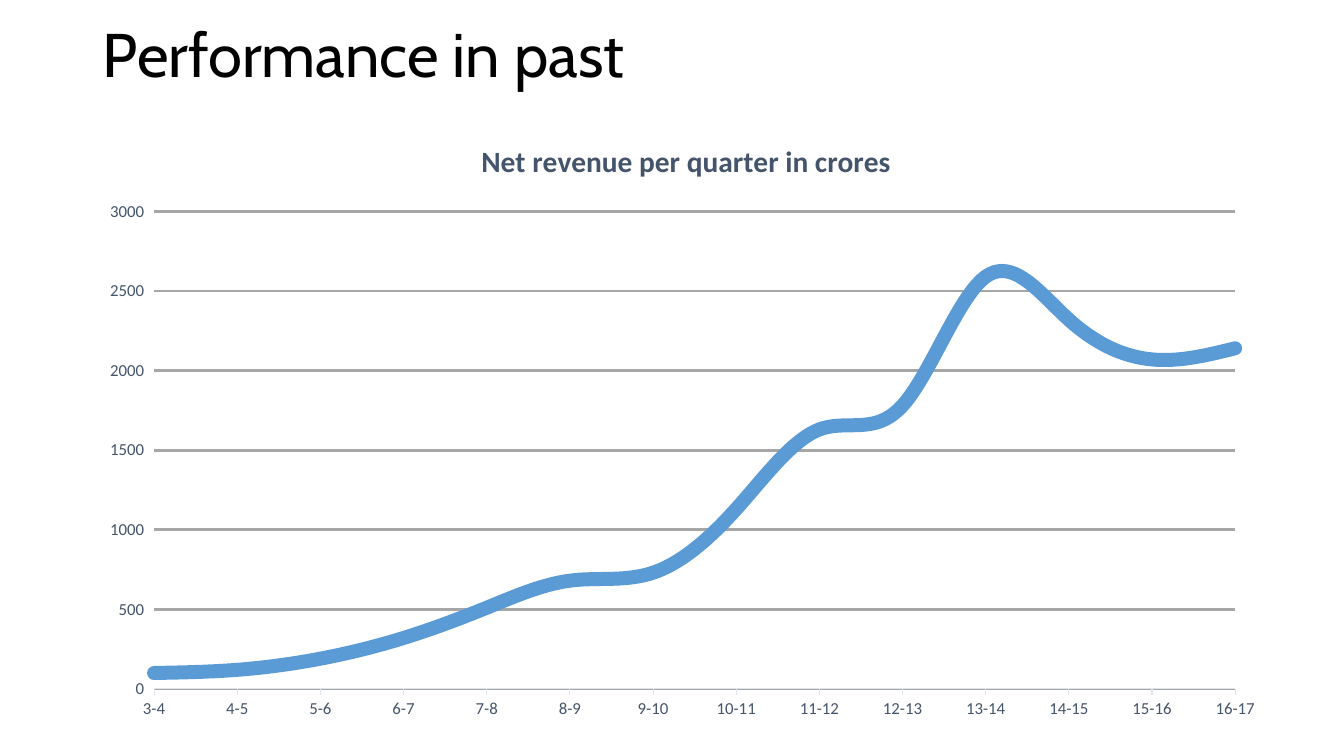
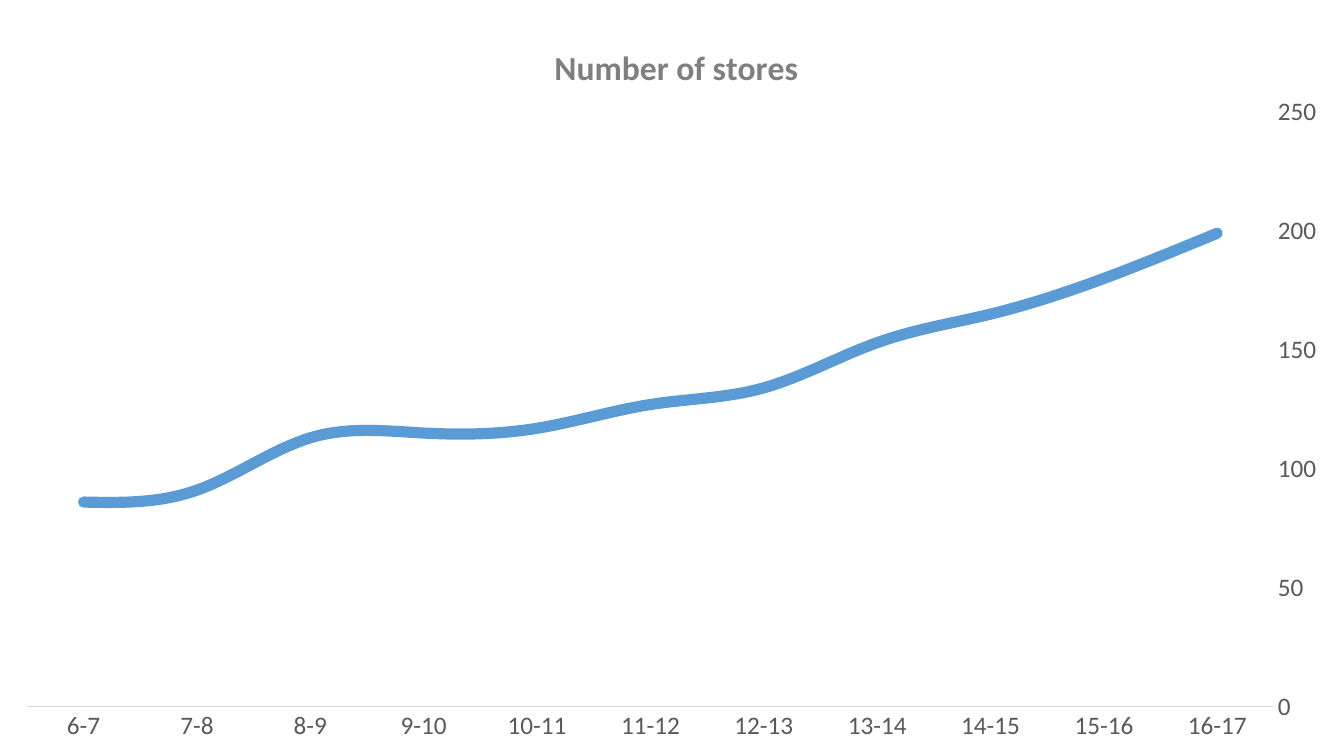
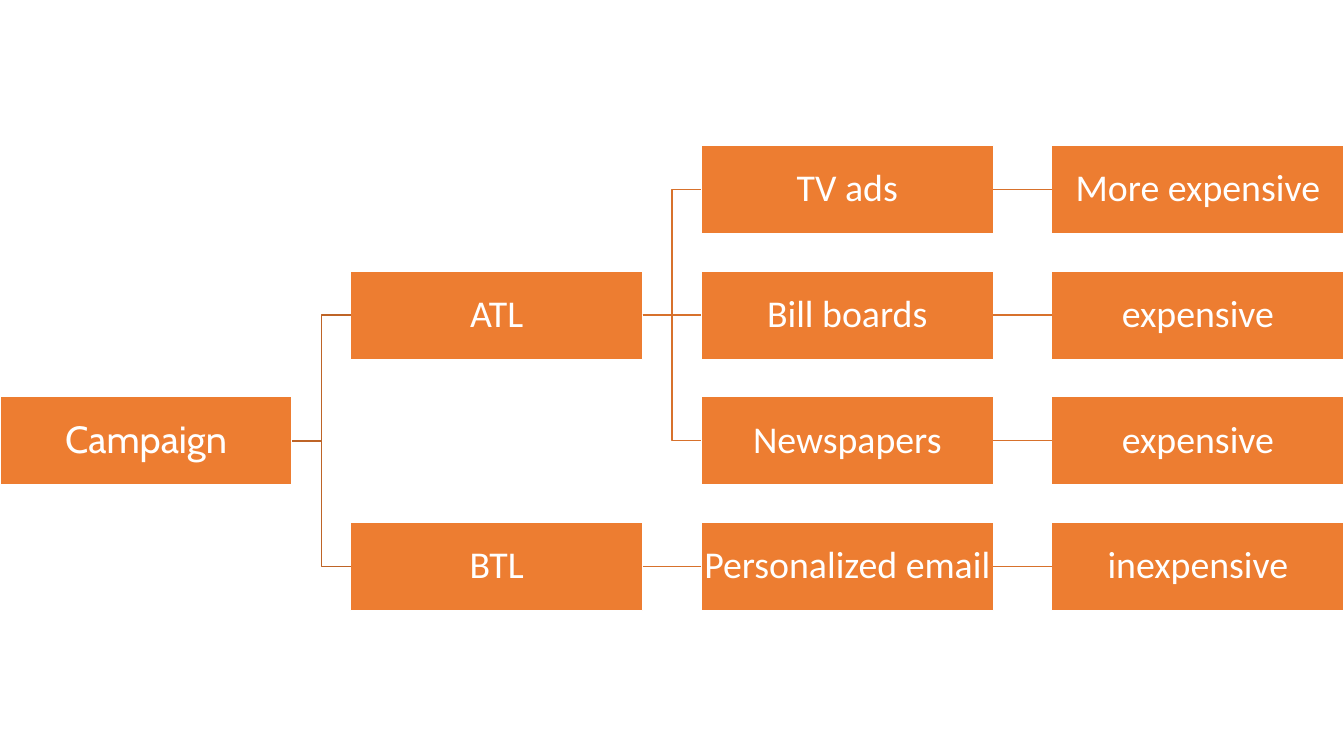
from dataclasses import dataclass

from lxml import etree
from pptx import Presentation
from pptx import util as u
from pptx.chart.data import CategoryChartData
from pptx.dml.color import RGBColor
from pptx.enum import chart as charts, shapes, text
from pptx.oxml.ns import qn


@dataclass(frozen=True)
class Theme:
    heading_font: str = "Cabin"
    body_font: str = "Calibri"
    black: str = "000000"
    white: str = "FFFFFF"
    slate: str = "44546A"
    pale_slate: str = "E0E5EB"
    dark_grey: str = "595959"
    mid_grey: str = "7F7F7F"
    grid_grey: str = "A6A6A6"
    pale_grey: str = "D9D9D9"
    blue: str = "5B9BD5"
    orange: str = "ED7D31"
    root_link: str = "BE6427"
    branch_link: str = "D7712C"
    title_size: int = 44
    box_size: int = 27


@dataclass(frozen=True)
class ChartLook:
    title_size: int
    title_color: str
    title_at: tuple      # x, y in percent of the chart
    plot_at: tuple       # x, y, width, height in percent of the chart
    label_size: int
    label_color: str
    axis_color: str
    line_width: int
    top: int
    step: int


THEME = Theme()
WIDTH, HEIGHT = 13.33, 7.5

# Tree grid: four boxes and three gaps of a fifth of a box fill the width
BOX_W = WIDTH / 4.6
BOX_H = 0.88
COLUMN = BOX_W * 1.2
ROW = BOX_W * 0.43
TREE_TOP = (HEIGHT - 3 * ROW - BOX_H) / 2

YEARS = ["16-17", "15-16", "14-15", "13-14", "12-13", "11-12", "10-11",
         "9-10", "8-9", "7-8", "6-7", "5-6", "4-5", "3-4"]
REVENUE = [2140, 2070, 2320, 2590, 1780, 1630, 1130, 730, 680, 510, 320, 190, 120, 100]
STORES = [199, 180, 165, 153, 134, 127, 117, 115, 113, 91, 86]

CAMPAIGN = ("Campaign", [
    ("ATL", [
        ("TV ads", [("More expensive", [])]),
        ("Bill boards", [("expensive", [])]),
        ("Newspapers", [("expensive", [])]),
    ]),
    ("BTL", [("Personalized email", [("inexpensive", [])])]),
])


def rgb(color):
    return RGBColor.from_string(color)


def set_font(font, size, color, name=THEME.body_font, bold=False):
    font.size, font.name, font.bold = u.Pt(size), name, bold
    font.color.rgb = rgb(color)


def set_line(line, color, width):
    line.color.rgb = rgb(color)
    line.width = u.Pt(width)


def add_title(slide, words):
    box = slide.shapes.add_textbox(u.Inches(0.92), u.Inches(-0.15),
                                   u.Inches(11.5), u.Inches(1.45))
    frame = box.text_frame
    frame.word_wrap = True
    frame.vertical_anchor = text.MSO_ANCHOR.MIDDLE
    heading = frame.paragraphs[0]
    heading.text = words
    heading.line_spacing = 0.9
    set_font(heading.font, THEME.title_size, THEME.black, THEME.heading_font)


# Charts
def manual_layout(percents, inner=False):
    layout = etree.Element(qn("c:layout"))
    manual = etree.SubElement(layout, qn("c:manualLayout"))
    settings = [("layoutTarget", "inner")] if inner else []
    settings += [("xMode", "edge"), ("yMode", "edge")]
    settings += [(side, percent / 100) for side, percent in zip("xywh", percents)]
    for tag, value in settings:
        etree.SubElement(manual, qn("c:" + tag)).set("val", str(value))
    return layout


def place_part(part, layout, index):
    for old in part.findall(qn("c:layout")):
        part.remove(old)
    part.insert(index, layout)


def add_line_chart(slide, at, kind, title, values, look):
    data = CategoryChartData()
    data.categories = YEARS[:len(values)]
    data.add_series("Series 1", values)
    chart = slide.shapes.add_chart(kind, *map(u.Inches, at), data).chart
    chart.has_legend = False
    set_font(chart.font, 10, THEME.black)

    # Title and plot area
    chart.has_title = True
    heading = chart.chart_title.text_frame.paragraphs[0]
    heading.text = title
    set_font(heading.font, look.title_size, look.title_color, bold=True)
    chart.chart_title.include_in_layout = False
    root = chart.element.find(qn("c:chart"))
    place_part(root.find(qn("c:title")), manual_layout(look.title_at), 1)
    place_part(root.find(qn("c:plotArea")), manual_layout(look.plot_at, True), 0)

    # Axes: the newest year comes first in the data and stands at the right
    years, amounts = chart.category_axis, chart.value_axis
    for axis in (years, amounts):
        axis.major_tick_mark = axis.minor_tick_mark = charts.XL_TICK_MARK.NONE
        set_font(axis.tick_labels.font, look.label_size, look.label_color)
    years.reverse_order = True
    set_line(years.format.line, look.axis_color, 0.75)
    amounts.format.line.fill.background()
    amounts.has_major_gridlines = False
    amounts.minimum_scale, amounts.maximum_scale = 0, look.top
    amounts.major_unit = look.step

    # Series
    chart.plots[0].vary_by_categories = False
    curve = chart.plots[0].series[0]
    curve.smooth = True
    curve.marker.style = charts.XL_MARKER_STYLE.NONE
    set_line(curve.format.line, THEME.blue, look.line_width)
    curve.format.line._get_or_add_ln().set("cap", "rnd")
    return chart


def start_years_on_axis(chart):
    """Put the amounts at the left, and the first and last points on the edges."""
    chart.value_axis.tick_label_position = charts.XL_TICK_LABEL_POSITION.HIGH
    axis = chart.element.find(".//" + qn("c:valAx"))
    between = axis.find(qn("c:crossBetween"))
    if between is None:
        between = etree.Element(qn("c:crossBetween"))
        axis.find(qn("c:crosses")).addnext(between)
    between.set("val", "midCat")


# Tree
def add_box(slide, label, column, row):
    box = slide.shapes.add_shape(
        shapes.MSO_SHAPE.RECTANGLE, u.Inches(column * COLUMN),
        u.Inches(TREE_TOP + row * ROW), u.Inches(BOX_W), u.Inches(BOX_H))
    box.shadow.inherit = False
    box.fill.solid()
    box.fill.fore_color.rgb = rgb(THEME.orange)
    set_line(box.line, THEME.white, 1)
    frame = box.text_frame
    frame.word_wrap = False
    frame.vertical_anchor = text.MSO_ANCHOR.MIDDLE
    frame.margin_left = frame.margin_right = u.Inches(0.02)
    frame.margin_top = frame.margin_bottom = u.Inches(0.02)
    words = frame.paragraphs[0]
    words.text = label
    words.alignment = text.PP_ALIGN.CENTER
    words.line_spacing = 0.9
    name = THEME.body_font if column else THEME.heading_font
    set_font(words.font, THEME.box_size, THEME.white, name)
    return box


def add_link(slide, parent, child, color, straight):
    kind = shapes.MSO_CONNECTOR.STRAIGHT if straight else shapes.MSO_CONNECTOR.ELBOW
    link = slide.shapes.add_connector(kind, 0, 0, 0, 0)
    link.begin_connect(parent, 3)
    link.end_connect(child, 1)
    set_line(link.line, color, 1)
    etree.SubElement(link._element.spPr, qn("a:effectLst"))


def add_branch(slide, node, column=0, next_row=0):
    """Draw a node and all below it; return its box, its row and the next free row."""
    label, children = node
    branches = []
    for child in children:
        child_box, child_row, next_row = add_branch(slide, child, column + 1, next_row)
        branches.append((child_box, child_row))
    if branches:
        row = sum(child_row for _, child_row in branches) / len(branches)
    else:
        row, next_row = next_row, next_row + 1
    box = add_box(slide, label, column, row)
    color = THEME.branch_link if column else THEME.root_link
    for child_box, child_row in branches:
        add_link(slide, box, child_box, color, child_row == row)
    return box, row, next_row


def main():
    deck = Presentation()
    deck.slide_width, deck.slide_height = u.Inches(WIDTH), u.Inches(HEIGHT)
    performance, stores, campaign = (
        deck.slides.add_slide(deck.slide_layouts[6]) for _ in range(3))

    # Revenue
    add_title(performance, "Performance in past")
    revenue_look = ChartLook(
        title_size=21, title_color=THEME.slate, title_at=(32.3, 3),
        plot_at=(5.17, 15.4, 91.1, 77.8), label_size=12, label_color=THEME.slate,
        axis_color=THEME.pale_slate, line_width=10, top=3000, step=500)
    revenue = add_line_chart(
        performance, (0.92, 1.16, 11.77, 6.09), charts.XL_CHART_TYPE.LINE_STACKED,
        "Net revenue per quarter in crores", REVENUE, revenue_look)
    start_years_on_axis(revenue)
    revenue.category_axis.major_tick_mark = charts.XL_TICK_MARK.OUTSIDE
    revenue.value_axis.has_major_gridlines = True
    set_line(revenue.value_axis.major_gridlines.format.line, THEME.grid_grey, 2)

    # Stores
    stores_look = ChartLook(
        title_size=24, title_color=THEME.mid_grey, title_at=(40.8, 5.1),
        plot_at=(2, 14.8, 92.8, 78.7), label_size=18, label_color=THEME.dark_grey,
        axis_color=THEME.pale_grey, line_width=8, top=250, step=50)
    add_line_chart(stores, (0, 0, WIDTH, HEIGHT), charts.XL_CHART_TYPE.LINE,
                   "Number of stores", STORES, stores_look)

    # Campaign
    add_branch(campaign, CAMPAIGN)

    deck.save("out.pptx")


if __name__ == "__main__":
    main()
